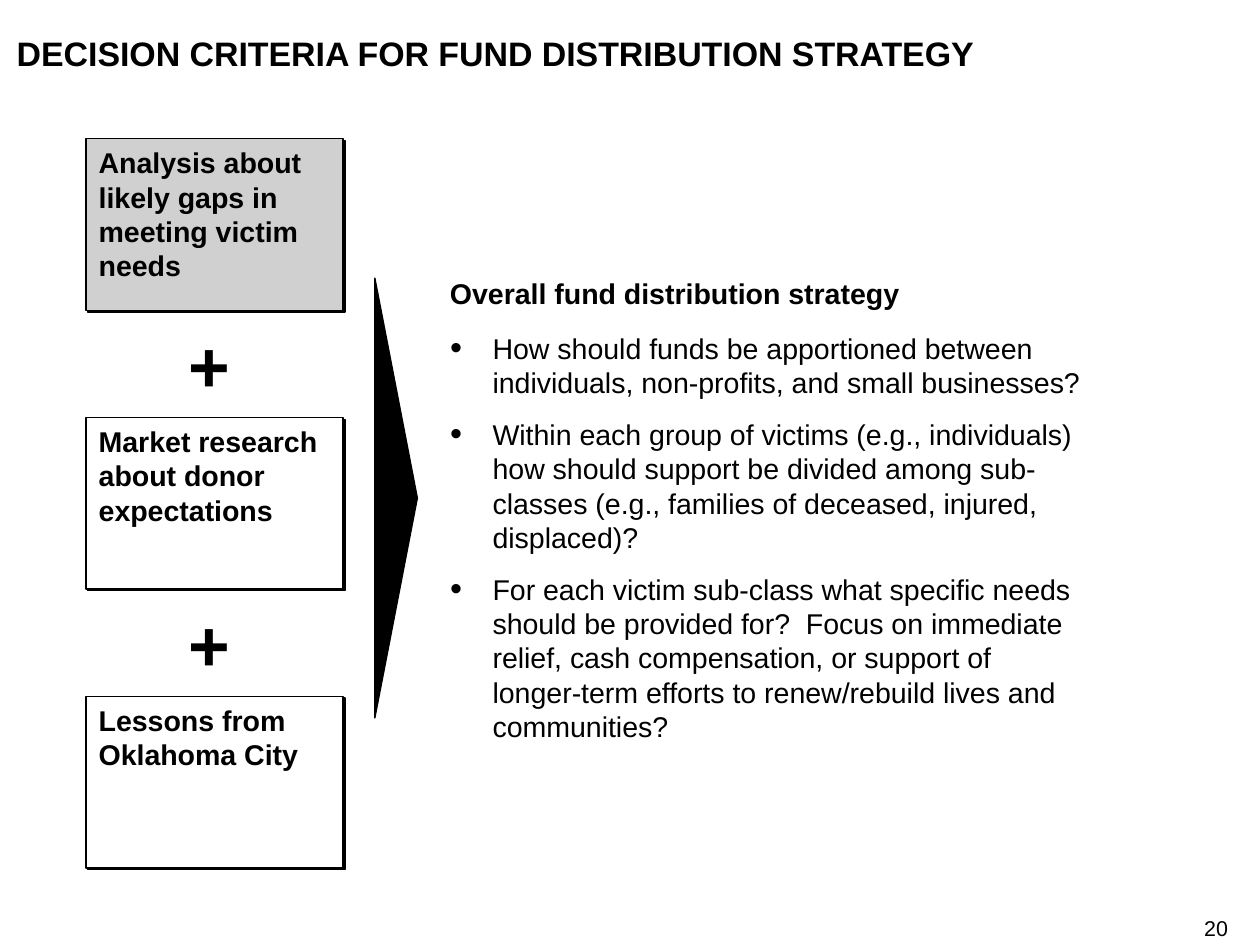
from dataclasses import dataclass

from lxml import etree
from pptx import Presentation
from pptx.dml.color import RGBColor
from pptx.enum.shapes import MSO_SHAPE
from pptx.enum.text import MSO_ANCHOR, MSO_AUTO_SIZE, PP_ALIGN
from pptx.oxml.ns import qn
from pptx.util import Cm, Pt

RECTANGLE = MSO_SHAPE.RECTANGLE
TRIANGLE = MSO_SHAPE.ISOSCELES_TRIANGLE
TOP = MSO_ANCHOR.TOP
NO_AUTOFIT = MSO_AUTO_SIZE.NONE
LEFT, CENTER, RIGHT = PP_ALIGN.LEFT, PP_ALIGN.CENTER, PP_ALIGN.RIGHT


@dataclass(frozen=True)
class Theme:
    font: str = "Arial"
    ink: RGBColor = RGBColor(0x00, 0x00, 0x00)
    paper: RGBColor = RGBColor(0xFF, 0xFF, 0xFF)
    highlight: RGBColor = RGBColor(0xD0, 0xD0, 0xD0)
    title: Pt = Pt(19)
    text: Pt = Pt(16)
    plus: Pt = Pt(40)
    page_number: Pt = Pt(12)
    outline: Pt = Pt(0.75)


THEME = Theme()

INPUTS = [
    ("Analysis about likely gaps in meeting victim needs", THEME.highlight),
    ("Market research about donor expectations", THEME.paper),
    ("Lessons from Oklahoma City", THEME.paper),
]
QUESTIONS = [
    "How should funds be apportioned between individuals, non-profits, and "
    "small businesses?",
    "Within each group of victims (e.g., individuals) how should support be "
    "divided among sub-classes (e.g., families of deceased, injured, displaced)?",
    "For each victim sub-class what specific needs should be provided for?  "
    "Focus on immediate relief, cash compensation, or support of longer-term "
    "efforts to renew/rebuild lives and communities?",
]

INPUT_LEFT, INPUT_TOP = 1.7, 2.74
INPUT_WIDTH, INPUT_HEIGHT = 5.08, 3.39
INPUT_PITCH = 5.51
PLUS_OFFSET = 3.61
STRATEGY_LEFT, STRATEGY_WIDTH = 8.89, 12.5


def place(shape, left, top, width, height):
    shape.left, shape.top = Cm(left), Cm(top)
    shape.width, shape.height = Cm(width), Cm(height)


def write(shape, lines, size, bold=False, align=LEFT, inset=(0, 0), bulleted=False):
    """Fill a shape with paragraphs; inset is (horizontal, vertical) in cm."""
    frame = shape.text_frame
    frame.word_wrap = True
    frame.auto_size = NO_AUTOFIT
    frame.vertical_anchor = TOP
    frame.margin_left = frame.margin_right = Cm(inset[0])
    frame.margin_top = frame.margin_bottom = Cm(inset[1])
    frame.text = "\n".join(lines)
    for para in frame.paragraphs:
        if bulleted:
            add_bullet(para)
            para.space_after = Pt(10)
        para.space_before = Pt(0)
        para.alignment = align
        font = para.font
        font.name, font.size, font.bold = THEME.font, size, bold
        font.color.rgb = THEME.ink


def add_bullet(para):
    properties = para._p.get_or_add_pPr()
    properties.set("marL", str(Cm(0.84)))
    properties.set("indent", str(-Cm(0.84)))
    color = etree.SubElement(properties, qn("a:buClr"))
    etree.SubElement(color, qn("a:srgbClr"), val=str(THEME.ink))
    etree.SubElement(properties, qn("a:buSzPct"), val="120000")
    etree.SubElement(properties, qn("a:buFont"), typeface=THEME.font)
    etree.SubElement(properties, qn("a:buChar"), char="•")


def add_text(page, text, bounds, size, bold=False, align=LEFT):
    box = page.shapes.add_textbox(*map(Cm, bounds))
    write(box, [text], size, bold, align)


def add_outlined(page, kind, bounds, fill):
    shape = page.shapes.add_shape(kind, *map(Cm, bounds))
    shape.shadow.inherit = False
    shape.fill.solid()
    shape.fill.fore_color.rgb = fill
    shape.line.color.rgb = THEME.ink
    shape.line.width = THEME.outline
    return shape


def add_hard_shadow(shape):
    effects = shape._element.spPr.find(qn("a:effectLst"))
    shadow = etree.SubElement(
        effects, qn("a:outerShdw"), blurRad="0", dist=str(Pt(1.4)),
        dir="2700000", algn="tl", rotWithShape="0",
    )
    etree.SubElement(shadow, qn("a:srgbClr"), val=str(THEME.ink))


def add_inputs(page):
    """Stack the input boxes with a plus sign between neighbours."""
    for index, (text, fill) in enumerate(INPUTS):
        top = INPUT_TOP + index * INPUT_PITCH
        bounds = (INPUT_LEFT, top, INPUT_WIDTH, INPUT_HEIGHT)
        box = add_outlined(page, RECTANGLE, bounds, fill)
        add_hard_shadow(box)
        write(box, [text], THEME.text, bold=True, inset=(0.25, 0.13))
        if index < len(INPUTS) - 1:
            add_text(page, "+", (INPUT_LEFT, top + PLUS_OFFSET, 4.88, 1.7),
                     THEME.plus, bold=True, align=CENTER)


def add_strategy(page):
    pointer = add_outlined(page, TRIANGLE, (3.48, 9.42, 8.69, 0.84), THEME.ink)
    pointer.rotation = 90
    add_text(page, "Overall fund distribution strategy",
             (STRATEGY_LEFT, 5.46, STRATEGY_WIDTH, 0.69), THEME.text, bold=True)
    body = page.placeholders[1]
    place(body, STRATEGY_LEFT, 6.53, STRATEGY_WIDTH, 8.15)
    write(body, QUESTIONS, THEME.text, bulleted=True)


def main():
    deck = Presentation()
    deck.slide_width, deck.slide_height = Cm(24.89), Cm(18.67)
    page = deck.slides.add_slide(deck.slide_layouts[1])
    title = page.shapes.title
    place(title, 0.33, 0.64, 23.95, 0.81)
    write(title, ["DECISION CRITERIA FOR FUND DISTRIBUTION STRATEGY"],
          THEME.title, bold=True)
    add_inputs(page)
    add_strategy(page)
    add_text(page, "20", (23.75, 18.08, 0.51, 0.51), THEME.page_number, align=RIGHT)
    deck.save("out.pptx")


if __name__ == "__main__":
    main()
